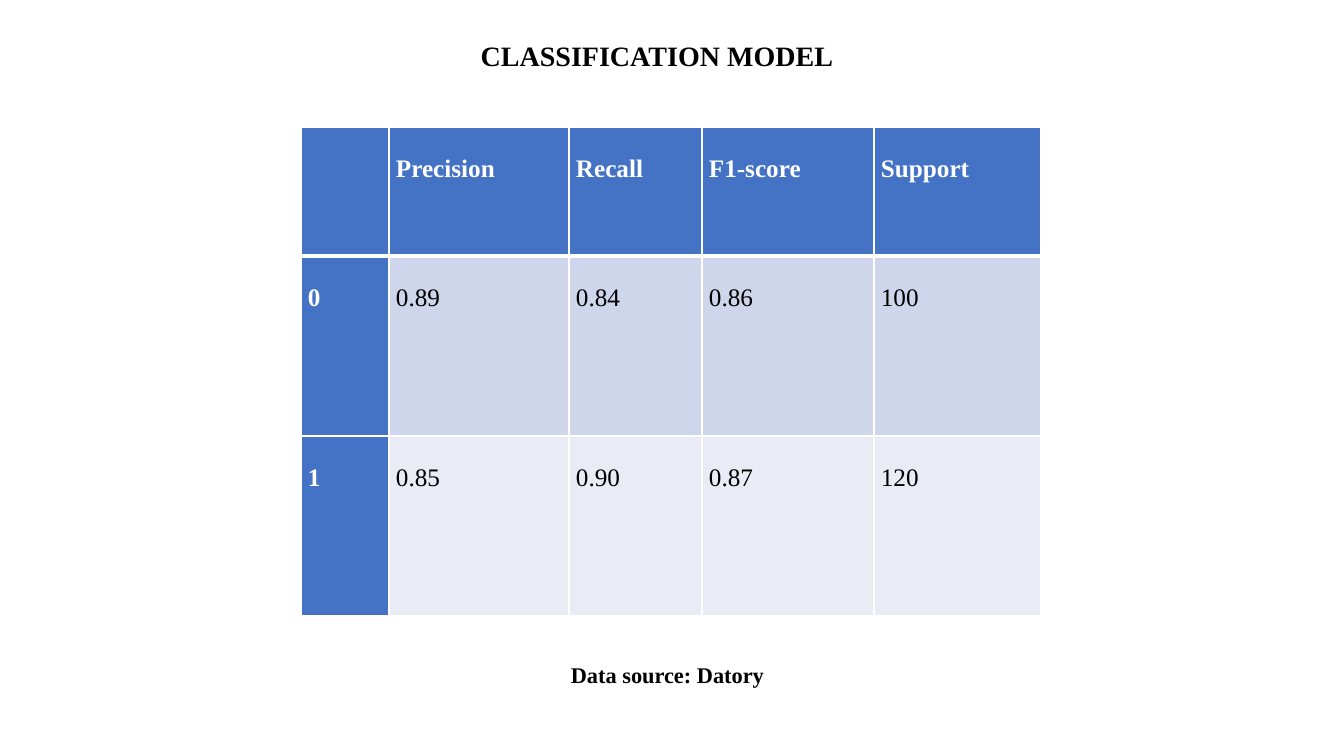
from lxml import etree
from pptx import Presentation
from pptx.dml.color import RGBColor
from pptx.enum.text import MSO_ANCHOR, MSO_AUTO_SIZE, PP_ALIGN
from pptx.oxml.ns import qn
from pptx.util import Pt

CENTER, JUSTIFY = PP_ALIGN.CENTER, PP_ALIGN.JUSTIFY
TOP = MSO_ANCHOR.TOP
GROW = MSO_AUTO_SIZE.SHAPE_TO_FIT_TEXT

PX = 914400 / 100.8
WHITE, BLACK, BLUE = "FFFFFF", "000000", "4472C4"
BANDS = ["CFD5EA", "E9EBF5"]


def px(*lengths):
    return [round(length * PX) for length in lengths]


def write(frame, text, size, color, bold, align):
    para = frame.paragraphs[0]
    para.text = text
    para.alignment = align
    para.line_spacing = 2.0
    para.font.name = "Times New Roman"
    para.font.size = Pt(size)
    para.font.bold = bold
    para.font.color.rgb = RGBColor.from_string(color)
    return para


deck = Presentation()
deck.slide_width, deck.slide_height = px(1344, 756)
page = deck.slides.add_slide(deck.slide_layouts[5])

# Title and source line
title = page.shapes.title
title.left, title.top, title.width, title.height = px(469, 0, 376, 68)
source = page.shapes.add_textbox(*px(561, 629, 222, 56))
for box, text, size, align in [
    (title, "CLASSIFICATION MODEL", 20, CENTER),
    (source, "Data source: Datory", 16, JUSTIFY),
]:
    frame = box.text_frame
    frame.word_wrap = False
    frame.auto_size = GROW
    frame.vertical_anchor = TOP
    write(frame, text, size, BLACK, True, align)

# Score table
scores = [
    ["", "Precision", "Recall", "F1-score", "Support"],
    ["0", "0.89", "0.84", "0.86", "100"],
    ["1", "0.85", "0.90", "0.87", "120"],
]
widths = px(88, 180, 133, 172, 167)
heights = px(129, 180, 180)
table = page.shapes.add_table(
    len(heights), len(widths), *px(301, 127), sum(widths), sum(heights)
).table
for column, width in zip(table.columns, widths):
    column.width = width
for row, height in zip(table.rows, heights):
    row.height = height

for row_index, values in enumerate(scores):
    for column_index, value in enumerate(values):
        cell = table.cell(row_index, column_index)
        is_header = row_index == 0 or column_index == 0

        # White borders, thicker under the header row
        properties = cell._tc.get_or_add_tcPr()
        for side in ["L", "R", "T", "B"]:
            thick = (row_index, side) in [(0, "B"), (1, "T")]
            line = etree.SubElement(properties, qn("a:ln" + side), w=str(Pt(3 if thick else 1)))
            fill = etree.SubElement(line, qn("a:solidFill"))
            etree.SubElement(fill, qn("a:srgbClr"), val=WHITE)

        cell.fill.solid()
        cell.fill.fore_color.rgb = RGBColor.from_string(
            BLUE if is_header else BANDS[row_index - 1]
        )
        cell.margin_left, cell.margin_right = px(7, 7)
        cell.margin_top = cell.margin_bottom = 0
        if value:
            color = WHITE if is_header else BLACK
            para = write(cell.text_frame, value, 18, color, is_header, JUSTIFY)
            para.space_after = Pt(8)

deck.save("out.pptx")
